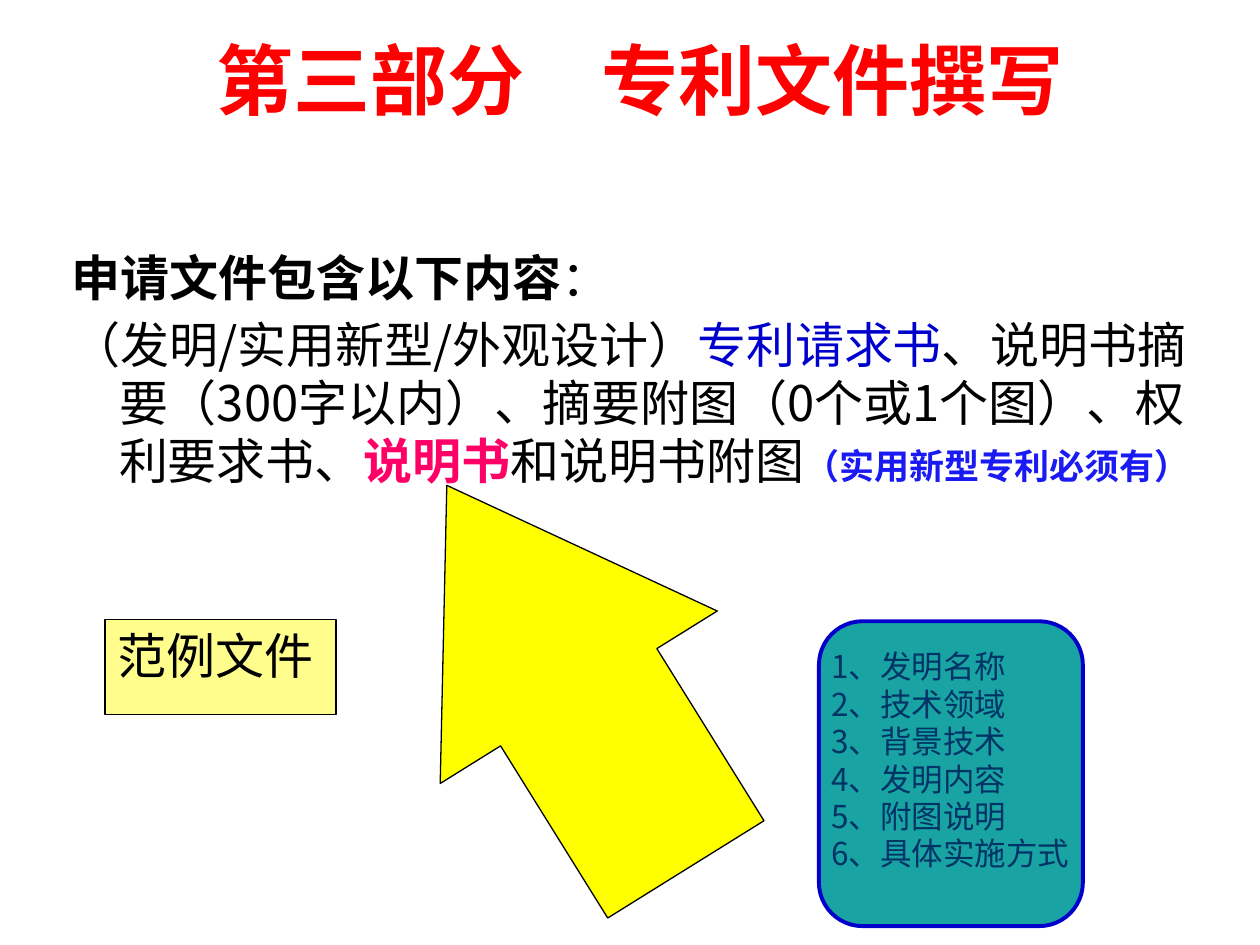
from dataclasses import dataclass

from lxml import etree
from pptx import Presentation
from pptx.dml.color import RGBColor
from pptx.enum.shapes import MSO_SHAPE
from pptx.enum.text import MSO_ANCHOR, MSO_AUTO_SIZE, PP_ALIGN
from pptx.oxml.ns import qn
from pptx.util import Pt

UP_ARROW = MSO_SHAPE.UP_ARROW
RECT = MSO_SHAPE.RECTANGLE
ROUND_RECT = MSO_SHAPE.ROUNDED_RECTANGLE
TOP, MIDDLE = MSO_ANCHOR.TOP, MSO_ANCHOR.MIDDLE
LEFT, CENTER = PP_ALIGN.LEFT, PP_ALIGN.CENTER
NO_FIT = MSO_AUTO_SIZE.NONE


@dataclass(frozen=True)
class Theme:
    font: str = "Noto Sans CJK SC"
    black: str = "000000"
    red: str = "FF0000"
    blue: str = "0000CC"
    bright_blue: str = "1A1AF4"
    pink: str = "FF0066"
    navy: str = "003366"
    yellow: str = "FFFF00"
    pale_yellow: str = "FFFD8C"
    teal: str = "009999"
    title: float = 44
    body: float = 28
    item: float = 18
    note: float = 20
    leading: float = 1.19


T = Theme()


@dataclass(frozen=True)
class Span:
    text: str
    color: str = T.black
    size: float = T.body
    bold: bool = False


@dataclass(frozen=True)
class Box:
    left: float
    top: float
    width: float
    height: float

    def lengths(self):
        return Pt(self.left), Pt(self.top), Pt(self.width), Pt(self.height)


@dataclass(frozen=True)
class Block:
    kind: int
    box: Box
    fill: str
    line: str
    weight: float
    adjustments: tuple = ()
    rotation: float = 0


def place(s, box: Box) -> None:
    s.left, s.top, s.width, s.height = box.lengths()


def write(p, spans: list, align=LEFT) -> None:
    """Fill a paragraph with formatted runs."""
    p.alignment = align
    p.line_spacing = Pt(round(spans[0].size * T.leading, 1))
    for span in spans:
        r = p.add_run()
        r.text = span.text
        r.font.name = T.font
        r.font.size = Pt(span.size)
        r.font.bold = span.bold
        r.font.color.rgb = RGBColor.from_string(span.color)
        latin = r.font._element.find(qn("a:latin"))
        ea = etree.Element(qn("a:ea"), typeface=T.font)
        latin.addnext(ea)


def write_all(tf, paragraphs: list, anchor=TOP, align=LEFT) -> None:
    """Fill a text frame, one list of spans to a paragraph."""
    tf.word_wrap = True
    tf.auto_size = NO_FIT
    tf.vertical_anchor = anchor
    for i, spans in enumerate(paragraphs):
        p = tf.paragraphs[0] if i == 0 else tf.add_paragraph()
        write(p, spans, align)


def hang(p, indent: float) -> None:
    """Hanging indent without a bullet."""
    pPr = p._p.get_or_add_pPr()
    pPr.set("marL", str(Pt(indent)))
    pPr.set("indent", str(-Pt(indent)))
    etree.SubElement(pPr, qn("a:buNone"))


def draw(slide, block: Block):
    s = slide.shapes.add_shape(block.kind, *block.box.lengths())
    s.shadow.inherit = False
    s.rotation = block.rotation
    for i, value in enumerate(block.adjustments):
        s.adjustments[i] = value
    s.fill.solid()
    s.fill.fore_color.rgb = RGBColor.from_string(block.fill)
    s.line.color.rgb = RGBColor.from_string(block.line)
    s.line.width = Pt(block.weight)
    return s


def set_opacity(s, percent: int) -> None:
    color = s._element.spPr.find(qn("a:solidFill"))[0]
    etree.SubElement(color, qn("a:alpha"), val=str(percent * 1000))


ARROW = Block(UP_ARROW, Box(230.4, 257.8, 186.5, 258.5), T.yellow, T.black, 0.75,
              (0.564, 0.765), 328.1)
PANEL = Block(ROUND_RECT, Box(468, 355, 150.8, 174.2), T.teal, T.blue, 2.25, (0.165,))
SAMPLE = Block(RECT, Box(60, 354.2, 132, 54), T.pale_yellow, T.black, 0.75)

CONTENTS = [
    [Span("申请文件包含以下内容", bold=True), Span("：")],
    [
        Span("（发明/实用新型/外观设计）"),
        Span("专利请求书", T.blue),
        Span("、说明书摘要（300字以内）、摘要附图（0个或1个图）、权利要求书、"),
        Span("说明书", T.pink, bold=True),
        Span("和说明书附图"),
        Span("（实用新型专利必须有）", T.bright_blue, T.note, True),
    ],
]
SECTIONS = ["发明名称", "技术领域", "背景技术", "发明内容", "附图说明", "具体实施方式"]


def main() -> None:
    prs = Presentation()
    prs.slide_width, prs.slide_height = Pt(720), Pt(540)
    slide = prs.slides.add_slide(prs.slide_layouts[1])
    title, body = slide.placeholders

    # Title
    place(title, Box(41.8, 0, 648, 90))
    heading = Span("第三部分　专利文件撰写", T.red, T.title, True)
    write_all(title.text_frame, [[heading]], MIDDLE, CENTER)

    # Application documents
    place(body, Box(33.8, 138, 669.6, 314))
    write_all(body.text_frame, CONTENTS)
    for p, gap in zip(body.text_frame.paragraphs, (0, 5)):
        p.space_before = Pt(gap)
        hang(p, 27)

    # Arrow up to the description
    draw(slide, ARROW)

    # Panel with the sections of the description
    set_opacity(draw(slide, PANEL), 90)
    tb = slide.shapes.add_textbox(*Box(468, 366.5, 162, 136.8).lengths())
    items = [[Span(f"{n}、{name}", T.navy, T.item)] for n, name in enumerate(SECTIONS, 1)]
    write_all(tb.text_frame, items)

    # Sample document label
    label = draw(slide, SAMPLE)
    write_all(label.text_frame, [[Span("范例文件")]])

    prs.save("out.pptx")


if __name__ == "__main__":
    main()
